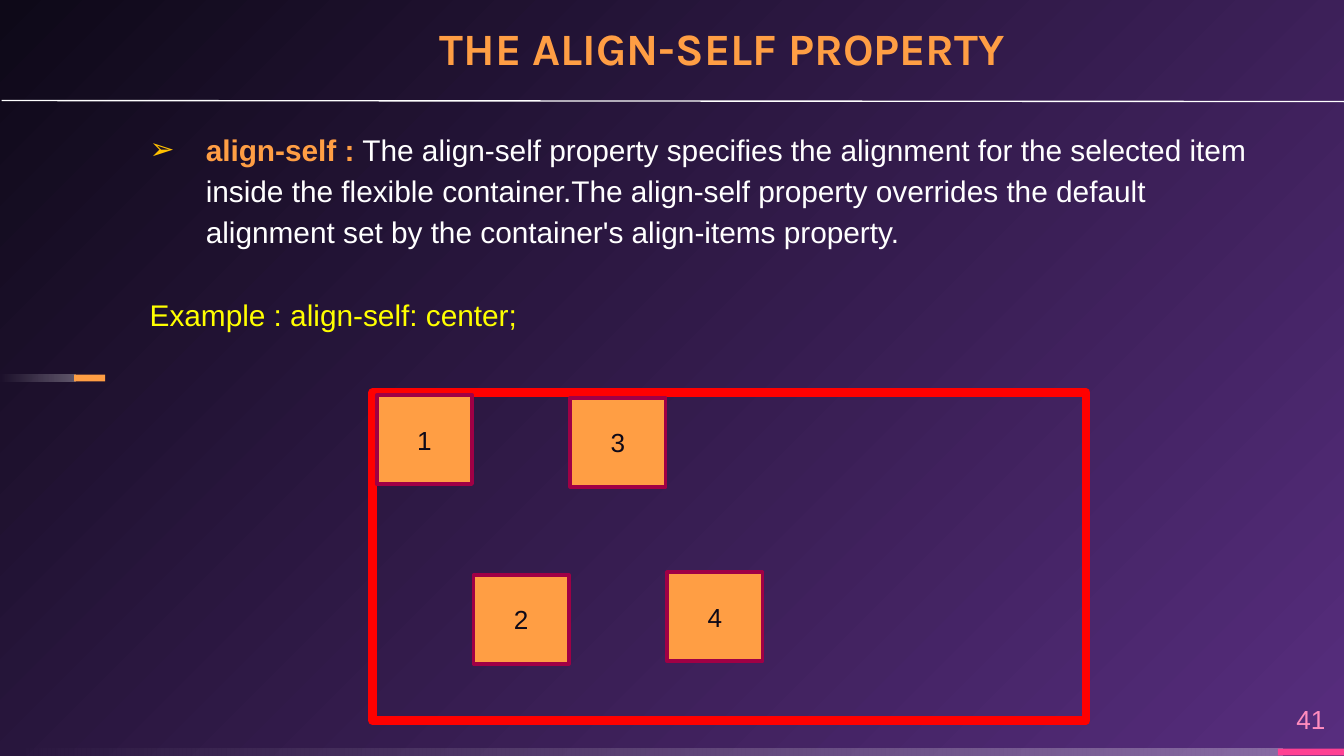
import lxml.etree
import pptx
import pptx.dml.color
import pptx.enum.shapes
import pptx.enum.text
import pptx.oxml.ns
import pptx.util

Cm = pptx.util.Cm
Pt = pptx.util.Pt
qn = pptx.oxml.ns.qn
rgb = pptx.dml.color.RGBColor.from_string
shapes_enum = pptx.enum.shapes.MSO_SHAPE
anchors = pptx.enum.text.MSO_ANCHOR
CENTER = pptx.enum.text.PP_ALIGN.CENTER

ORANGE = "FF9E44"
WHITE = "FFFFFF"
DARK = "0E0918"


def add_box(kind, left, top, width, height, fill=None, line=None, line_width=0):
    """Add a shadowless shape; lengths in centimetres, line width in points."""
    box = page.shapes.add_shape(kind, Cm(left), Cm(top), Cm(width), Cm(height))
    box.shadow.inherit = False
    if fill:
        box.fill.solid()
        box.fill.fore_color.rgb = rgb(fill)
    else:
        box.fill.background()
    if line:
        box.line.color.rgb = rgb(line)
        box.line.width = Pt(line_width)
    else:
        box.line.fill.background()
    return box


def add_run(para, text, size, color, font="Arial", bold=False):
    span = para.add_run()
    span.text = text
    span.font.size = Pt(size)
    span.font.name = font
    span.font.bold = bold
    span.font.color.rgb = rgb(color)


deck = pptx.Presentation()
deck.slide_width = Cm(25.4)
deck.slide_height = Cm(14.29)
page = deck.slides.add_slide(deck.slide_layouts[6])

# Background: glow from the bottom right corner
glow = page.background.fill
glow.gradient()
for stop, color in zip(glow.gradient_stops, ("572D7E", DARK)):
    stop.color.rgb = rgb(color)
gradient = page._element.find(".//" + qn("a:gradFill"))
gradient.remove(gradient.find(qn("a:lin")))
circle = lxml.etree.SubElement(gradient, qn("a:path"), {"path": "circle"})
lxml.etree.SubElement(circle, qn("a:fillToRect"), {"l": "100000", "t": "100000"})

# Fading bars, each with a coloured end
for top, fade_width, end_left, end_width, color in (
    (14.15, 24.23, 24.15, 1.25, "FF4093"),
    (7.08, 1.42, 1.4, 0.59, ORANGE),
):
    fade = add_box(shapes_enum.RECTANGLE, 0, top, fade_width, 0.13)
    fade.fill.gradient()
    fade.fill.gradient_angle = 180
    for stop in fade.fill.gradient_stops:
        stop.color.rgb = rgb(WHITE)
    for node, alpha in zip(fade._element.iter(qn("a:srgbClr")), ("30000", "0")):
        lxml.etree.SubElement(node, qn("a:alpha"), {"val": alpha})
    add_box(shapes_enum.RECTANGLE, end_left, top, end_width, 0.13, color)

# Title
title = page.shapes.add_textbox(Cm(8.31), Cm(0.18), Cm(13.28), Cm(1.24))
frame = title.text_frame
frame.word_wrap = True
frame.vertical_anchor = anchors.BOTTOM
frame.margin_left = frame.margin_right = frame.margin_top = frame.margin_bottom = 0
para = frame.paragraphs[0]
para.line_spacing = 0.9
add_run(para, "THE ALIGN-SELF PROPERTY", 24, ORANGE, "Karla", True)

# Explanation and example
body = page.shapes.add_textbox(Cm(2.62), Cm(2.39), Cm(21.59), Cm(5.03))
frame = body.text_frame
frame.word_wrap = True
frame.margin_left = frame.margin_right = frame.margin_top = frame.margin_bottom = 0
explanation = frame.paragraphs[0]
example = frame.add_paragraph()
for para in (explanation, example):
    para.line_spacing = 1.15
    properties = para._p.get_or_add_pPr()
    properties.set("marL", str(Cm(1.27)))
    properties.set("indent", str(Cm(-1.06)))
example.space_before = Pt(22)

properties = explanation._p.get_or_add_pPr()
bullet_color = lxml.etree.SubElement(properties, qn("a:buClr"))
lxml.etree.SubElement(bullet_color, qn("a:srgbClr"), {"val": "FFC000"})
lxml.etree.SubElement(properties, qn("a:buFont"), {"typeface": "Arial"})
lxml.etree.SubElement(properties, qn("a:buChar"), {"char": "➢"})

add_run(explanation, "align-self :", 16, ORANGE, bold=True)
add_run(
    explanation,
    " The align-self property specifies the alignment for the selected item "
    "inside the flexible container.The align-self property overrides the default "
    "alignment set by the container's align-items property.",
    16,
    WHITE,
)
add_run(example, "Example : align-self: center;", 16, "FFFF00")

# Rule under the title
rule = page.shapes.add_connector(
    pptx.enum.shapes.MSO_CONNECTOR.STRAIGHT, Cm(0.03), Cm(1.9), Cm(25.76), Cm(1.92)
)
rule.line.color.rgb = rgb(WHITE)
rule.line.width = Pt(0.75)
lxml.etree.SubElement(rule._element.spPr, qn("a:effectLst"))

# Flex container and its items
process = shapes_enum.FLOWCHART_PROCESS
add_box(process, 7.04, 7.42, 13.49, 6.2, line="FF0000", line_width=4.5)
for index, top in enumerate((7.47, 10.87, 7.52, 10.82)):
    item = add_box(process, 7.12 + 1.83 * index, top, 1.8, 1.68, ORANGE, "A00045", 2)
    item.text_frame.vertical_anchor = anchors.MIDDLE
    para = item.text_frame.paragraphs[0]
    para.alignment = CENTER
    add_run(para, str(index + 1), 14, DARK)

# Page number
number = page.shapes.add_textbox(Cm(24.15), Cm(13.18), Cm(1.25), Cm(0.97))
number.text_frame.word_wrap = True
para = number.text_frame.paragraphs[0]
para.alignment = CENTER
add_run(para, "41", 14, "FF8CBE")

deck.save("out.pptx")
